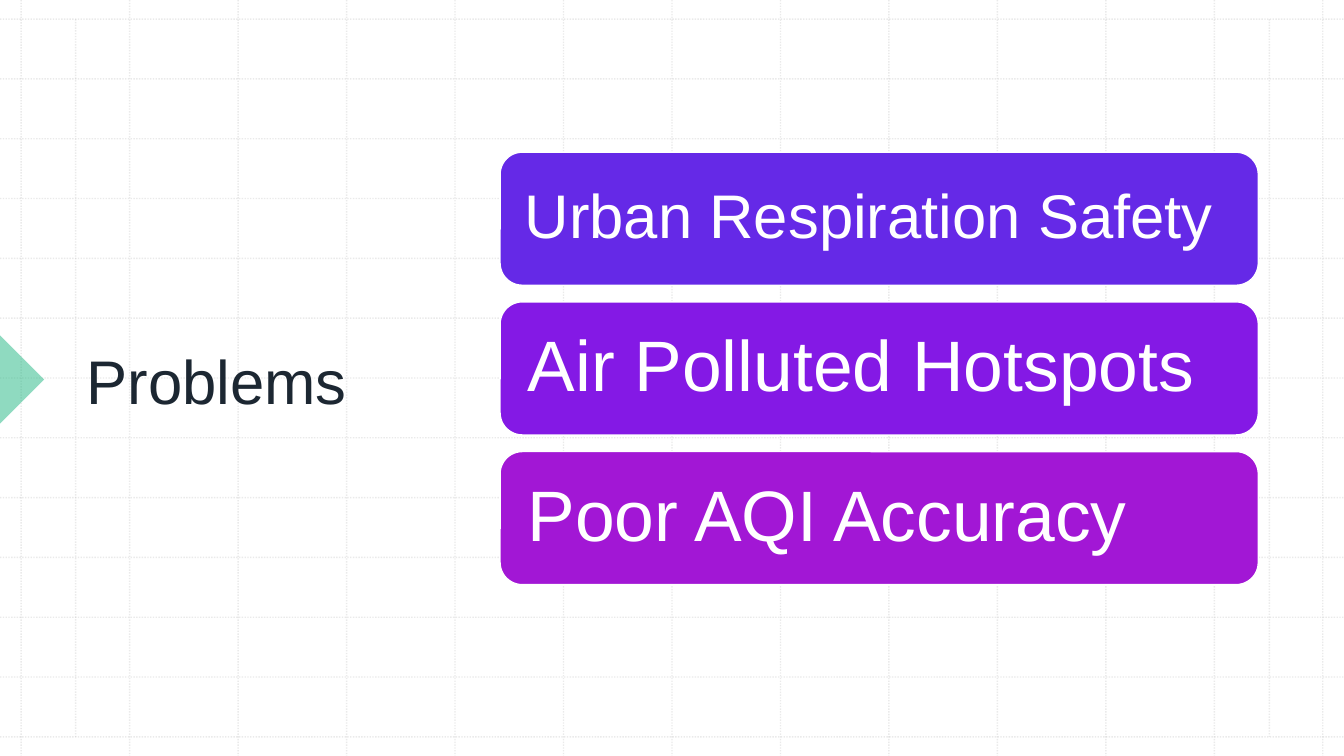
from dataclasses import dataclass

from lxml.etree import SubElement
from pptx import Presentation
from pptx.dml.color import RGBColor
from pptx.enum.dml import MSO_LINE
from pptx.enum.shapes import MSO_CONNECTOR, MSO_SHAPE
from pptx.enum.text import MSO_ANCHOR, PP_ALIGN
from pptx.oxml.ns import qn
from pptx.util import Inches, Pt


@dataclass(frozen=True)
class Theme:
    font: str = "Arial"
    ink: str = "1C2732"
    white: str = "FFFFFF"
    grid: str = "BCBCBC"
    marker: str = "21B782"
    hairline: float = 1
    text_size: float = 44
    large_size: float = 51


THEME = Theme()
WIDTH, HEIGHT = 13.33, 7.5
GRID_CELLS = 12
PROBLEMS = [
    ("Urban Respiration Safety", "6529E7", THEME.text_size, 0.18),
    ("Air Polluted Hotspots", "8419E5", THEME.large_size, 0.21),
    ("Poor AQI Accuracy", "A217D5", THEME.large_size, 0.21),
]


def set_alpha(properties, percent):
    """Make the solid colour below the given XML element translucent."""
    color = next(properties.iter(qn("a:srgbClr")))
    SubElement(color, qn("a:alpha")).set("val", str(percent * 1000))


def paint(shape, color):
    shape.shadow.inherit = False
    shape.fill.solid()
    shape.fill.fore_color.rgb = RGBColor.from_string(color)


def write(shape, text, size, color, inset_x=0.1, inset_y=0.05, spacing=1.0):
    frame = shape.text_frame
    frame_format = {
        "word_wrap": True,
        "vertical_anchor": MSO_ANCHOR.MIDDLE,
        "margin_left": Inches(inset_x),
        "margin_right": Inches(inset_x),
        "margin_top": Inches(inset_y),
        "margin_bottom": Inches(inset_y),
    }
    for name, value in frame_format.items():
        setattr(frame, name, value)
    para = frame.paragraphs[0]
    para.alignment = PP_ALIGN.LEFT
    para.line_spacing = spacing
    span = para.add_run()
    span.text = text
    font_format = {"name": THEME.font, "size": Pt(size)}
    for name, value in font_format.items():
        setattr(span.font, name, value)
    span.font.color.rgb = RGBColor.from_string(color)


def add_grid_line(page, x1, y1, x2, y2):
    connector = page.shapes.add_connector(
        MSO_CONNECTOR.STRAIGHT, Inches(x1), Inches(y1), Inches(x2), Inches(y2))
    line = connector.line
    line.color.rgb = RGBColor.from_string(THEME.grid)
    line.width = Pt(THEME.hairline)
    line.dash_style = MSO_LINE.ROUND_DOT
    properties = connector.element.spPr
    set_alpha(properties, 30)
    SubElement(properties, qn("a:effectLst"))


def add_grid(page, left, top, width, height):
    """Rule the page into equal cells inside the box, plus two margin lines."""
    for step in range(GRID_CELLS + 1):
        x = left + step * width / GRID_CELLS
        y = top + step * height / GRID_CELLS
        add_grid_line(page, x, 0, x, HEIGHT)
        add_grid_line(page, 0, y, WIDTH, y)
    for x in (left + 0.54, left + width - 0.53):
        add_grid_line(page, x, top, x, top + height)


def add_title(page, left, top, width, height):
    """Place the title and the marker on the slide edge beside it."""
    side = 0.62
    marker = page.shapes.add_shape(
        MSO_SHAPE.RIGHT_TRIANGLE, Inches(-side / 2),
        Inches(top + height / 2 - side / 2), Inches(side), Inches(side))
    marker.rotation = 225
    paint(marker, THEME.marker)
    marker.line.fill.background()
    set_alpha(marker.element.spPr, 50)
    box = page.shapes.add_textbox(
        Inches(left), Inches(top), Inches(width), Inches(height))
    write(box, "Problems", THEME.text_size, THEME.ink)


def add_problems(page, left, top, width, height, gap=0.165):
    bar_height = (height - gap * (len(PROBLEMS) - 1)) / len(PROBLEMS)
    for row, (text, color, size, inset) in enumerate(PROBLEMS):
        bar = page.shapes.add_shape(
            MSO_SHAPE.ROUNDED_RECTANGLE, Inches(left),
            Inches(top + row * (bar_height + gap)),
            Inches(width), Inches(bar_height))
        paint(bar, color)
        bar.line.color.rgb = RGBColor.from_string(THEME.white)
        bar.line.width = Pt(THEME.hairline)
        write(bar, text, size, THEME.white, inset, inset, spacing=0.9)


def main():
    deck = Presentation()
    deck.slide_width, deck.slide_height = Inches(WIDTH), Inches(HEIGHT)
    page = deck.slides.add_slide(deck.slide_layouts[6])
    page.background.fill.solid()
    page.background.fill.fore_color.rgb = RGBColor.from_string(THEME.white)
    add_grid(page, 0.21, 0.19, 12.91, 7.12)
    add_title(page, 0.76, 0.79, 3.75, 5.95)
    add_problems(page, 4.96, 1.51, 7.52, 4.29)
    deck.save("out.pptx")


if __name__ == "__main__":
    main()
